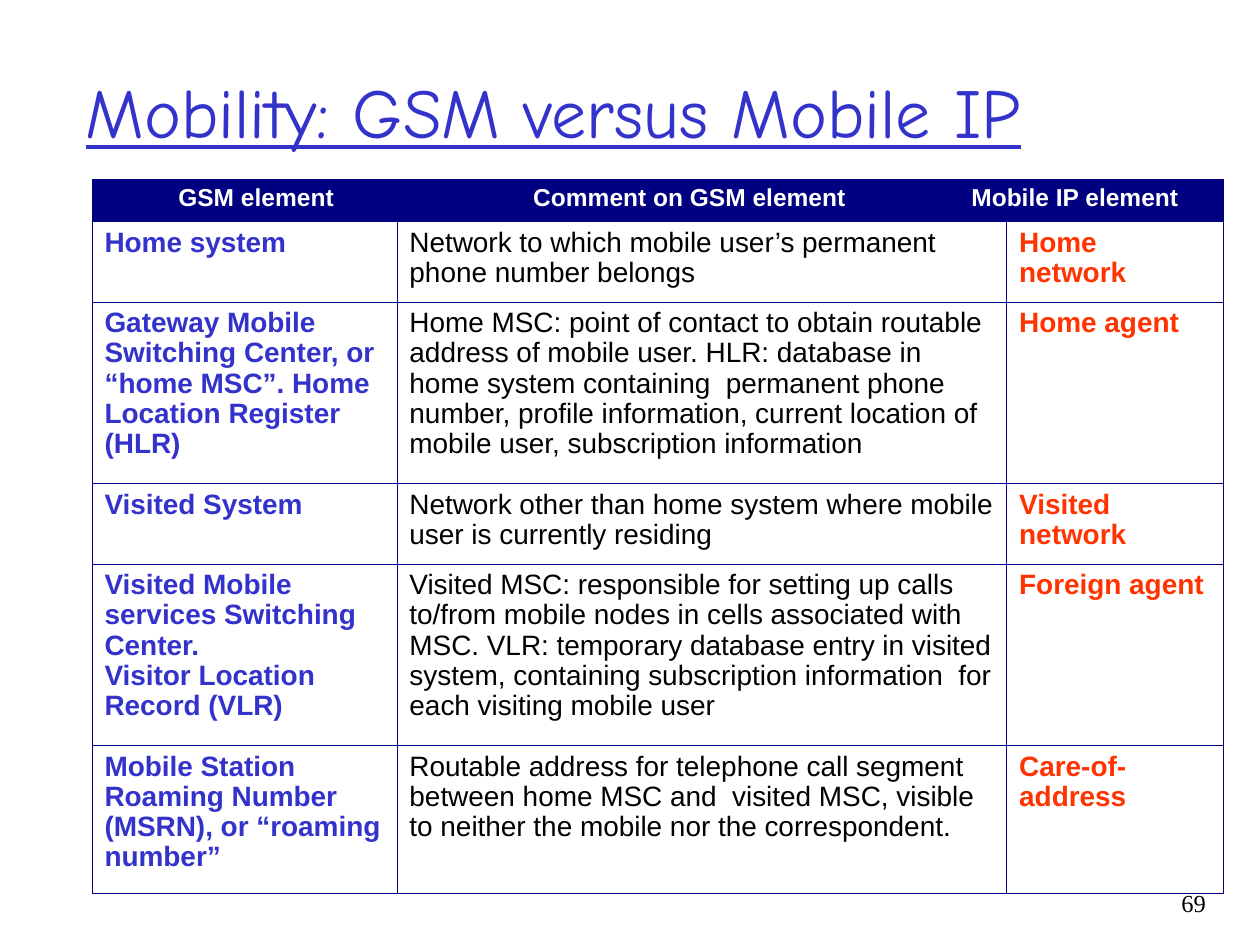
import pptx
import pptx.util
import pptx.dml.color
import pptx.enum.text
import pptx.oxml
import pptx.oxml.ns

RGBColor = pptx.dml.color.RGBColor
ALIGN = pptx.enum.text.PP_ALIGN
ANCHOR = pptx.enum.text.MSO_ANCHOR

BLUE = RGBColor(0x33, 0x33, 0xCC)
NAVY = RGBColor(0x00, 0x00, 0x80)
RED = RGBColor(0xFF, 0x33, 0x00)
BLACK = RGBColor(0x00, 0x00, 0x00)
WHITE = RGBColor(0xFF, 0xFF, 0xFF)

COLUMNS = [24.2, 2.4, 42.2, 3.8, 17.2]
ROWS = [3.4, 6.4, 14.4, 6.4, 14.4, 11.7]
HEADER_SPANS = [(0, 1), (2, 2), (3, 4)]
BODY_SPANS = [(0, 0), (1, 3), (4, 4)]
HEADER_STYLE = [(WHITE, True, ALIGN.CENTER), (WHITE, True, ALIGN.CENTER), (WHITE, True, ALIGN.LEFT)]
BODY_STYLE = [(BLUE, True, ALIGN.LEFT), (BLACK, False, ALIGN.LEFT), (RED, True, ALIGN.LEFT)]
ELEMENTS = [
    ("GSM element ", "Comment on GSM element ", "Mobile IP element"),
    ("Home system",
     "Network to which mobile user’s permanent phone number belongs",
     "Home network"),
    ("Gateway Mobile Switching Center, or “home MSC”. Home Location Register (HLR)",
     "Home MSC: point of contact to obtain routable address of mobile user. "
     "HLR: database in home system containing  permanent phone number, profile "
     "information, current location of mobile user, subscription information",
     "Home agent"),
    ("Visited System",
     "Network other than home system where mobile user is currently residing",
     "Visited network"),
    ("Visited Mobile services Switching Center.\nVisitor Location Record (VLR)",
     "Visited MSC: responsible for setting up calls to/from mobile nodes in cells "
     "associated with MSC. VLR: temporary database entry in visited system, "
     "containing subscription information  for each visiting mobile user",
     "Foreign agent"),
    ("Mobile Station Roaming Number (MSRN), or “roaming number”",
     "Routable address for telephone call segment between home MSC and  visited MSC, "
     "visible to neither the mobile nor the correspondent.",
     "Care-of-address"),
]


class Deck:
    """Style and current slide, laid out on a grid of 100 columns by 75 rows."""

    def __init__(self):
        self.prs = pptx.Presentation()
        self.prs.slide_width = pptx.util.Inches(10)
        self.prs.slide_height = pptx.util.Inches(7.5)
        self.unit = self.prs.slide_width / 100
        self.s = self.prs.slides.add_slide(self.prs.slide_layouts[5])

    def grid(self, *lengths):
        return [round(n * self.unit) for n in lengths]

    def set_text(self, tf, text, font, size, color, align=ALIGN.LEFT, bold=False, spacing=1.0):
        tf.text = text
        for p in tf.paragraphs:
            p.alignment = align
            p.line_spacing = spacing
            p.font.name = font
            p.font.size = pptx.util.Pt(size)
            p.font.bold = bold
            p.font.color.rgb = color

    def title(self, text, *box):
        sp = self.s.shapes.title
        sp.left, sp.top, sp.width, sp.height = self.grid(*box)
        tf = sp.text_frame
        tf.word_wrap = True
        tf.vertical_anchor = ANCHOR.MIDDLE
        self.set_text(tf, text, "Comic Neue", 40, BLUE)
        tf.paragraphs[0].font.underline = True

    def number(self, text, *box):
        tf = self.s.shapes.add_textbox(*self.grid(*box)).text_frame
        tf.word_wrap = True
        self.set_text(tf, text, "Times New Roman", 14, BLACK, ALIGN.RIGHT)

    def border(self, cell):
        tc_pr = cell._tc.get_or_add_tcPr()
        for side in ("lnL", "lnR", "lnT", "lnB"):
            tc_pr.append(pptx.oxml.parse_xml(
                f'<a:{side} {pptx.oxml.ns.nsdecls("a")} w="{pptx.util.Pt(0.45)}">'
                f'<a:solidFill><a:srgbClr val="{NAVY}"/></a:solidFill></a:{side}>'))

    def table(self, left, top):
        box = self.grid(left, top, sum(COLUMNS), sum(ROWS))
        table = self.s.shapes.add_table(len(ROWS), len(COLUMNS), *box).table
        table.first_row = table.horz_banding = False
        for column, width in zip(table.columns, self.grid(*COLUMNS)):
            column.width = width
        for row, height in zip(table.rows, self.grid(*ROWS)):
            row.height = height
        for i, texts in enumerate(ELEMENTS):
            header = i == 0
            spans = HEADER_SPANS if header else BODY_SPANS
            styles = HEADER_STYLE if header else BODY_STYLE
            for text, (first, last), (color, bold, align) in zip(texts, spans, styles):
                cell = table.cell(i, first)
                if last > first:
                    cell.merge(table.cell(i, last))
                self.border(cell)
                if header:
                    cell.fill.solid()
                    cell.fill.fore_color.rgb = NAVY
                else:
                    cell.fill.background()
                self.set_text(cell.text_frame, text, "Arial", 14 if header else 16,
                              color, align, bold, 0.97)


def main():
    deck = Deck()
    deck.title("Mobility: GSM versus Mobile IP", 5.8, 2.5, 85, 12.5)
    deck.table(7.3, 14.2)
    deck.number("69", 89.3, 70, 7.4, 5)
    deck.prs.save("out.pptx")


if __name__ == "__main__":
    main()
